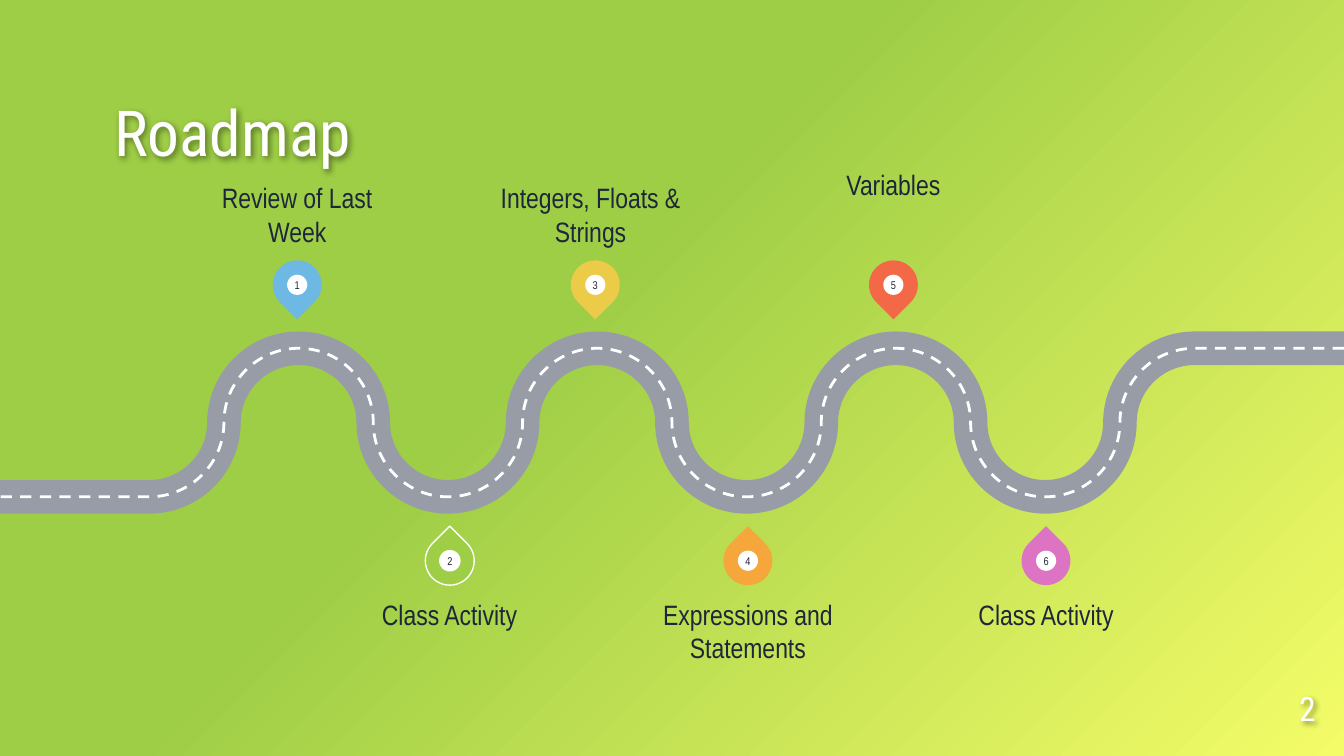
from copy import deepcopy

from lxml.etree import SubElement
from pptx import Presentation
from pptx.dml.color import RGBColor
from pptx.enum.dml import MSO_LINE
from pptx.enum.shapes import MSO_SHAPE
from pptx.enum.text import MSO_ANCHOR, PP_ALIGN
from pptx.oxml.ns import qn
from pptx.util import Pt

WHITE = RGBColor(0xFF, 0xFF, 0xFF)
INK = RGBColor(0x1E, 0x26, 0x3A)
ASPHALT = RGBColor(0x98, 0x9C, 0xA7)
GREEN = RGBColor(0x9E, 0xCE, 0x46)
YELLOW = RGBColor(0xF4, 0xFC, 0x68)
BLUE = RGBColor(0x6D, 0xB9, 0xE4)
GOLD = RGBColor(0xEC, 0xCB, 0x49)
ORANGE = RGBColor(0xF5, 0xA7, 0x3B)
RED = RGBColor(0xF3, 0x68, 0x46)
PINK = RGBColor(0xDD, 0x73, 0xC3)

HEADING_FONT = "Roboto Condensed"
BODY_FONT = "Arial Narrow"

SLIDE_WIDTH, SLIDE_HEIGHT = 720, 405
BEND_GAP, BEND_COUNT = 80, 8
ROAD_TOP, ROAD_BOTTOM = 186.6, 266.2
ARC_PULL = 0.55  # share of a quarter arc's side covered by a Bézier handle
PIN_SIZE, BADGE_SIZE, PIN_GAP = 26.2, 10.8, 159.7
LABEL_WIDTH, LABEL_HEIGHT = 101.5, 41.8

# Topic, pin colour, pin outline, label centre, label top, label anchor
STOPS = [
    ("Review of Last Week", BLUE, None, 159.2, 90.9, MSO_ANCHOR.BOTTOM),
    ("Class Activity", GREEN, WHITE, 240.8, 319.9, MSO_ANCHOR.TOP),
    ("Integers, Floats & Strings", GOLD, None, 316.4, 90.9, MSO_ANCHOR.BOTTOM),
    ("Expressions and Statements", ORANGE, None, 400.7, 319.9, MSO_ANCHOR.TOP),
    ("Variables", RED, None, 478.6, 90, MSO_ANCHOR.TOP),
    ("Class Activity", PINK, None, 560.4, 319.9, MSO_ANCHOR.TOP),
]


def paint_background(slide):
    fill = slide.background.fill
    fill.gradient()
    fill.gradient_angle = 315
    first_stop = slide.element.find(".//" + qn("a:gs"))
    first_stop.addnext(deepcopy(first_stop))
    for stop, position, color in zip(
        fill.gradient_stops, (0, 0.42, 1), (GREEN, GREEN, YELLOW)
    ):
        stop.position = position
        stop.color.rgb = color


def write(shape, text, size, font, color, align, anchor):
    """Put one formatted paragraph, without insets, in a shape."""
    frame = shape.text_frame
    frame.word_wrap = True
    frame.vertical_anchor = anchor
    frame.margin_left = frame.margin_right = 0
    frame.margin_top = frame.margin_bottom = 0
    frame.text = text
    paragraph = frame.paragraphs[0]
    paragraph.alignment = align
    run = paragraph.runs[0]
    run.font.size = Pt(size)
    run.font.name = font
    run.font.color.rgb = color


def add_heading(slide, text, size, align, left, top, width, height):
    """Add white text with a soft drop shadow."""
    box = slide.shapes.add_textbox(Pt(left), Pt(top), Pt(width), Pt(height))
    write(box, text, size, HEADING_FONT, WHITE, align, MSO_ANCHOR.BOTTOM)
    box.text_frame.paragraphs[0].line_spacing = 0.9
    box.shadow.inherit = False
    effects = box.element.spPr.find(qn("a:effectLst"))
    shadow = SubElement(
        effects, qn("a:outerShdw"),
        blurRad=str(Pt(3)), dist=str(Pt(1.5)), dir="2700000", algn="tl",
    )
    black = SubElement(shadow, qn("a:srgbClr"), val="000000")
    SubElement(black, qn("a:alpha"), val="43000")


def road_corners():
    """List the ends of the straights and quarter arcs, from left to right."""
    middle = (ROAD_TOP + ROAD_BOTTOM) / 2
    corners = [(0, ROAD_BOTTOM)]
    for bend in range(1, BEND_COUNT + 1):
        x = bend * BEND_GAP
        corners.append((x, ROAD_BOTTOM if bend % 2 else ROAD_TOP))
        if bend < BEND_COUNT:
            corners.append((x + BEND_GAP / 2, middle))
    corners.append((SLIDE_WIDTH, ROAD_TOP))
    return [(Pt(x), Pt(y)) for x, y in corners]


def round_arcs(road):
    """Turn every segment between the two straight ends into a quarter arc."""
    segments = road.element.findall(".//" + qn("a:lnTo"))
    ends = [
        tuple(int(segment[0].get(axis)) for axis in "xy") for segment in segments
    ]
    for index, segment in enumerate(segments[1:-1]):
        (x0, y0), (x1, y1) = ends[index:index + 2]
        pull_x, pull_y = ARC_PULL * (x1 - x0), ARC_PULL * (y1 - y0)
        if index % 2 == 0:
            handles = (x0 + pull_x, y0), (x1, y1 - pull_y)
        else:
            handles = (x0, y0 + pull_y), (x1 - pull_x, y1)
        segment.tag = qn("a:cubicBezTo")
        for position, (x, y) in enumerate(handles):
            handle = deepcopy(segment[-1])
            handle.set("x", str(round(x)))
            handle.set("y", str(round(y)))
            segment.insert(position, handle)


def add_road_line(slide, color, width, dash=None):
    # Drawn from right to left, so that the dashes begin at the right edge
    start, *rest = reversed(road_corners())
    builder = slide.shapes.build_freeform(*start)
    builder.add_line_segments(rest, close=False)
    road = builder.convert_to_shape()
    round_arcs(road)
    road.shadow.inherit = False
    road.fill.background()
    road.line.color.rgb = color
    road.line.width = Pt(width)
    if dash:
        road.line.dash_style = dash


def add_centred_shape(group, kind, x, y, size, color, outline):
    shape = group.shapes.add_shape(
        kind, Pt(x - size / 2), Pt(y - size / 2), Pt(size), Pt(size)
    )
    shape.shadow.inherit = False
    shape.fill.solid()
    shape.fill.fore_color.rgb = color
    if outline is None:
        shape.line.fill.background()
    else:
        shape.line.color.rgb = outline
        shape.line.width = Pt(0.75)
    return shape


def add_pin(slide, number, color, outline):
    """Add a numbered pin whose tip points at its bend of the road."""
    on_crest = number % 2 == 1
    first_x, y, turn = (159.2, 152.6, 135) if on_crest else (241, 300.4, 315)
    x = first_x + (number - 1) // 2 * PIN_GAP
    group = slide.shapes.add_group_shape()
    drop = add_centred_shape(
        group, MSO_SHAPE.TEAR, x, y, PIN_SIZE, color, outline
    )
    drop.rotation = turn
    badge = add_centred_shape(
        group, MSO_SHAPE.OVAL, x, y, BADGE_SIZE, WHITE, outline
    )
    write(badge, str(number), 6, BODY_FONT, INK,
          PP_ALIGN.CENTER, MSO_ANCHOR.MIDDLE)


def add_label(slide, topic, centre, top, anchor):
    label = slide.shapes.add_textbox(
        Pt(centre - LABEL_WIDTH / 2), Pt(top), Pt(LABEL_WIDTH), Pt(LABEL_HEIGHT)
    )
    write(label, topic, 15, BODY_FONT, INK, PP_ALIGN.CENTER, anchor)


def main():
    deck = Presentation()
    deck.slide_width = Pt(SLIDE_WIDTH)
    deck.slide_height = Pt(SLIDE_HEIGHT)
    slide = deck.slides.add_slide(deck.slide_layouts[6])
    paint_background(slide)
    add_heading(slide, "Roadmap", 34, PP_ALIGN.LEFT, 61.2, 60, 597.6, 31)
    add_heading(slide, "2", 18, PP_ALIGN.RIGHT, 661.7, 365.4, 43.2, 25.2)
    add_road_line(slide, ASPHALT, 18)
    add_road_line(slide, WHITE, 1.5, MSO_LINE.DASH)
    for number, (topic, color, outline, centre, top, anchor) in enumerate(STOPS, 1):
        add_pin(slide, number, color, outline)
        add_label(slide, topic, centre, top, anchor)
    deck.save("out.pptx")


if __name__ == "__main__":
    main()
